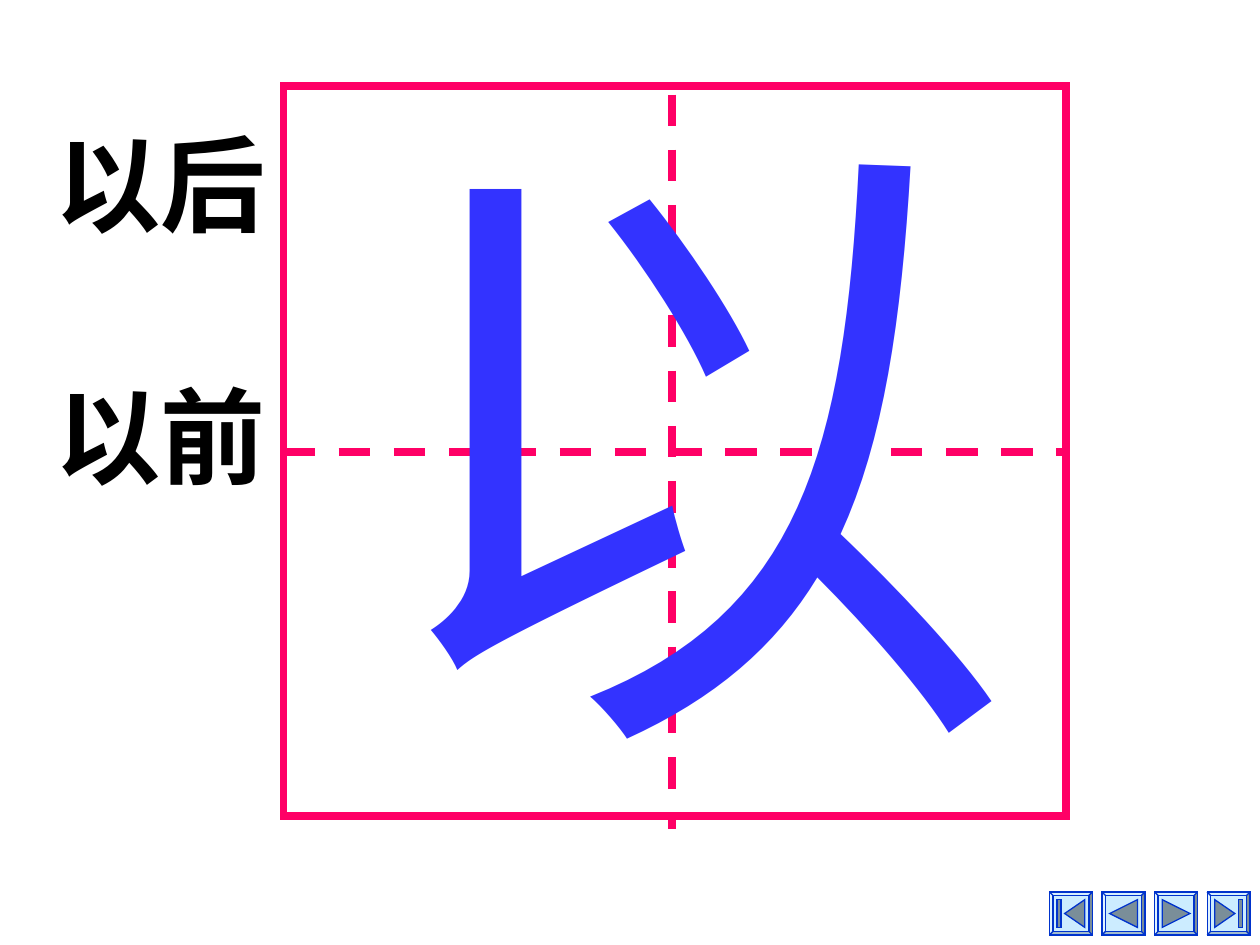
from pptx import Presentation
from pptx.dml.color import RGBColor
from pptx.enum.dml import MSO_LINE
from pptx.enum.shapes import MSO_CONNECTOR, MSO_SHAPE as SHAPE
from pptx.enum.text import MSO_AUTO_SIZE as AUTO
from pptx.oxml.ns import qn
from pptx.util import Inches, Pt
from lxml.etree import SubElement

PINK, BLUE, NAVY, PALE = "FF0066", "3333FF", "0033CC", "CCECFF"
GRAY, BLACK = "7A8E99", "000000"


def rgb(value):
    """Return the colour for a hex string."""
    return RGBColor.from_string(value)


def add_text(s, text, x, y, w, h, size, font, color, bold=False, gap=0):
    """Place one paragraph per line of text, with a gap in points between them."""
    tf = s.shapes.add_textbox(Inches(x), Inches(y), Inches(w), Inches(h)).text_frame
    tf.word_wrap = False
    tf.auto_size = AUTO.SHAPE_TO_FIT_TEXT
    for i, line in enumerate(text.split("\n")):
        p = tf.add_paragraph() if i else tf.paragraphs[0]
        if i:
            p.space_before = Pt(gap)
        r = p.add_run()
        r.text = line
        r.font.size, r.font.name, r.font.bold = Pt(size), font, bold
        r.font.color.rgb = rgb(color)


def add_line(s, x1, y1, x2, y2, color, width, dash=None):
    """Draw a straight line without a shadow."""
    c = s.shapes.add_connector(
        MSO_CONNECTOR.STRAIGHT, Inches(x1), Inches(y1), Inches(x2), Inches(y2))
    c.line.color.rgb, c.line.width = rgb(color), Pt(width)
    if dash:
        c.line.dash_style = dash
    SubElement(c._element.spPr, qn("a:effectLst"))


def style(sp, color, width, fill=None):
    """Give a shape a mitred outline and an optional fill."""
    sp.shadow.inherit = False
    if fill:
        sp.fill.solid()
        sp.fill.fore_color.rgb = rgb(fill)
    else:
        sp.fill.background()
    sp.line.color.rgb, sp.line.width = rgb(color), Pt(width)
    SubElement(sp.line._get_or_add_ln(), qn("a:miter"), lim="800000")


def add_box(s, kind, x, y, w, h):
    """Add a preset shape and return it."""
    return s.shapes.add_shape(kind, Inches(x), Inches(y), Inches(w), Inches(h))


def add_icon(s, points, x, y):
    """Draw a closed gray outline from points relative to x and y."""
    (x0, y0), *rest = [(Inches(x + px), Inches(y + py)) for px, py in points]
    builder = s.shapes.build_freeform(x0, y0)
    builder.add_line_segments(rest, close=True)
    style(builder.convert_to_shape(), NAVY, 0.75, GRAY)


def add_button(s, x, y, size, forward, bar):
    """Place a bevelled button with an arrow and an optional end bar."""
    sp = add_box(s, SHAPE.BEVEL, x, y, size, size)
    sp.adjustments[0] = 0.08
    style(sp, NAVY, 0.75, PALE)
    low, high, mid = 0.06, size - 0.06, size / 2
    icons = [[(low, low), (0.22 if bar else high, mid), (low, high)]]
    if bar:
        icons.append([(0.25, low), (high, low), (high, high), (0.25, high)])
    for points in icons:
        if not forward:
            points = [(size - px, py) for px, py in points]
        add_icon(s, points, x, y)


def add_navigation(s, x, y, size=0.34, pitch=0.417):
    """Place the row of four navigation buttons."""
    kinds = ((False, True), (False, False), (True, False), (True, True))
    for i, (forward, bar) in enumerate(kinds):
        add_button(s, x + i * pitch, y, size, forward, bar)


def add_character_grid(s, x, y, w, h, character):
    """Place the writing grid with one large character."""
    style(add_box(s, SHAPE.RECTANGLE, x, y, w, h), PINK, 4.5)
    mid_x, mid_y = x + 3.08, y + 2.91
    add_line(s, x, mid_y, x + w, mid_y, PINK, 4.5, MSO_LINE.DASH)
    add_line(s, mid_x, y + 0.07, mid_x, y + h + 0.1, PINK, 4.5, MSO_LINE.DASH)
    add_text(s, character, x + 0.56, y - 0.44, 5.34, 6.27, 370, "Times New Roman", BLUE)


def add_words(s, x, y, w, h, words):
    """Place the example words with the small dot below them."""
    add_line(s, x + 1.51, y + 3.56, x + 1.51, y + 3.56, NAVY, 0.75)
    add_text(s, "\n".join(words), x, y, w, h, 60, "Arial", BLACK, bold=True, gap=72)


def main():
    """Build and save the slide."""
    prs = Presentation()
    prs.slide_width, prs.slide_height = Inches(10), Inches(7.5)
    s = prs.slides.add_slide(prs.slide_layouts[6])
    add_navigation(s, 8.33, 7.08)
    add_character_grid(s, 2.25, 0.68, 6.21, 5.8, "以")
    add_words(s, 0.34, 0.9, 1.9, 3.1, ("以后", "以前"))
    prs.save("out.pptx")


if __name__ == "__main__":
    main()
